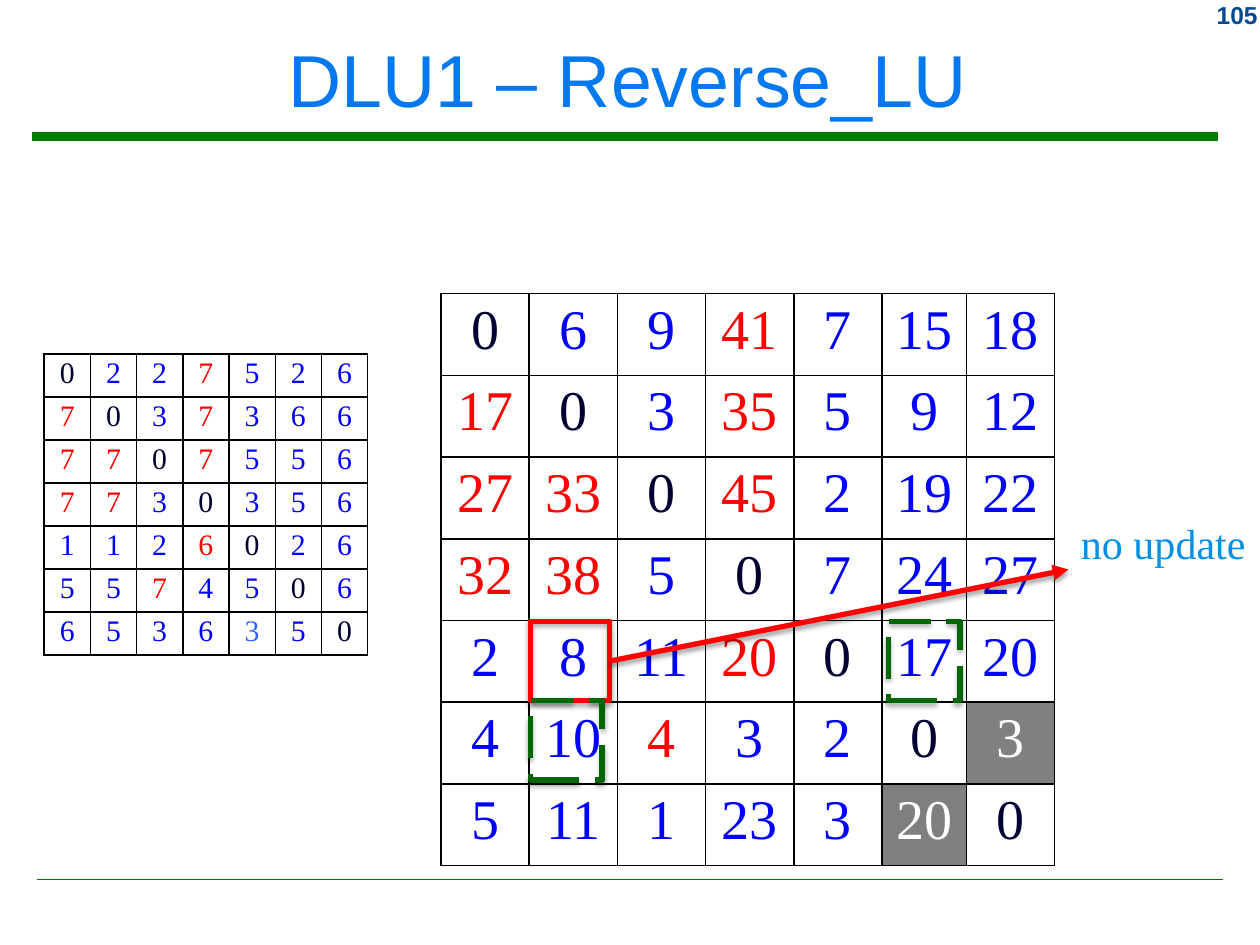
"""Build the DLU1 Reverse_LU slide with two number matrices and marked cells."""
from lxml import etree
from pptx import Presentation
from pptx.dml.color import RGBColor
from pptx.enum.dml import MSO_LINE
from pptx.enum.shapes import MSO_CONNECTOR, MSO_SHAPE
from pptx.enum.text import MSO_ANCHOR, PP_ALIGN
from pptx.oxml import parse_xml
from pptx.oxml.ns import nsdecls, qn
from pptx.util import Pt

LONG_DASH = MSO_LINE.LONG_DASH
STRAIGHT = MSO_CONNECTOR.STRAIGHT
RECT = MSO_SHAPE.RECTANGLE
TOP, MIDDLE = MSO_ANCHOR.TOP, MSO_ANCHOR.MIDDLE
LEFT, CENTER, RIGHT = PP_ALIGN.LEFT, PP_ALIGN.CENTER, PP_ALIGN.RIGHT

DISTANCES = [
    [0, 6, 9, 41, 7, 15, 18],
    [17, 0, 3, 35, 5, 9, 12],
    [27, 33, 0, 45, 2, 19, 22],
    [32, 38, 5, 0, 7, 24, 27],
    [2, 8, 11, 20, 0, 17, 20],
    [4, 10, 4, 3, 2, 0, 3],
    [5, 11, 1, 23, 3, 20, 0],
]
SUCCESSORS = [
    [0, 2, 2, 7, 5, 2, 6],
    [7, 0, 3, 7, 3, 6, 6],
    [7, 7, 0, 7, 5, 5, 6],
    [7, 7, 3, 0, 3, 5, 6],
    [1, 1, 2, 6, 0, 2, 6],
    [5, 5, 7, 4, 5, 0, 6],
    [6, 5, 3, 6, 3, 5, 0],
]
RED_CELLS = {(0, 3), (1, 0), (1, 3), (2, 0), (2, 1), (2, 3), (3, 0), (3, 1), (4, 3), (5, 2)}
TABLES = [
    (DISTANCES, 252, 167.8, [50.4] * 5 + [48.2, 50.4], 46.7, 32, (6.5, 3.2),
     {(5, 6): ("FFFFFF", "808080"), (6, 5): ("FFFFFF", "7F7F7F")}),
    (SUCCESSORS, 25.2, 202.2, [26.43] * 7, 24.6, 17, (3.6, 1.6),
     {(6, 4): ("3366FF", "FFFFFF")}),
]
BORDER = (
    '<a:{} %s w="12700"><a:solidFill><a:srgbClr val="000000"/></a:solidFill></a:{}>'
    % nsdecls("a")
)
SHADOW = (
    '<a:effectLst %s><a:outerShdw blurRad="39400" dist="{}" dir="5400000" rotWithShape="0">'
    '<a:srgbClr val="000000"><a:alpha val="{}"/></a:srgbClr></a:outerShdw></a:effectLst>'
    % nsdecls("a")
)


def rgb(value):
    return RGBColor.from_string(value)


def style_text(p, text, size, font, color, align):
    p.text = text
    p.alignment = align
    f = p.runs[0].font
    f.size = Pt(size)
    f.name = font
    f.color.rgb = rgb(color)
    return f


prs = Presentation()
prs.slide_width, prs.slide_height = Pt(720), Pt(540)
s = prs.slides.add_slide(prs.slide_layouts[6])

for x1, x2, y, width in [(18, 696.2, 77.8, 5.25), (20.9, 699.1, 502.6, 1)]:
    line = s.shapes.add_connector(STRAIGHT, Pt(x1), Pt(y), Pt(x2), Pt(y))
    line.line.color.rgb = rgb("008000")
    line.line.width = Pt(width)
    etree.SubElement(line._element.spPr, qn("a:effectLst"))

for values, left, top, widths, height, size, (inset_x, inset_y), special in TABLES:
    frame = s.shapes.add_table(
        7, 7, Pt(left), Pt(top), Pt(sum(widths)), Pt(7 * height))
    table = frame.table
    table.first_row = table.horz_banding = False
    for col, width in zip(table.columns, widths):
        col.width = Pt(width)
    for i, row in enumerate(values):
        table.rows[i].height = Pt(height)
        for j, value in enumerate(row):
            base = "000033" if i == j else "FF0000" if (i, j) in RED_CELLS else "0000FF"
            color, fill = special.get((i, j), (base, "FFFFFF"))
            cell = table.cell(i, j)
            cell.margin_left = cell.margin_right = Pt(inset_x)
            cell.margin_top = cell.margin_bottom = Pt(inset_y)
            tcPr = cell._tc.get_or_add_tcPr()
            for side in ("lnL", "lnR", "lnT", "lnB"):
                tcPr.append(parse_xml(BORDER.format(side, side)))
            cell.fill.solid()
            cell.fill.fore_color.rgb = rgb(fill)
            style_text(cell.text_frame.paragraphs[0], str(value), size,
                       "Times New Roman", color, CENTER)

update = s.shapes.add_group_shape()

for shapes, left, top, width, color, dash in [
    (update.shapes, 303.1, 355, 45.4, "FF0000", None),
    (s.shapes, 303.1, 400.3, 41, "006600", LONG_DASH),
    (s.shapes, 507.6, 355, 41, "006600", LONG_DASH),
]:
    sp = shapes.add_shape(RECT, Pt(left), Pt(top), Pt(width), Pt(45.4))
    sp.fill.background()
    sp.line.color.rgb = rgb(color)
    sp.line.width = Pt(3)
    if dash:
        sp.line.dash_style = dash
    sp._element.spPr.append(parse_xml(SHADOW.format(22900, 35000)))

arrow = update.shapes.add_connector(STRAIGHT, Pt(348.5), Pt(377.8), Pt(610.6), Pt(325.4))
arrow.line.color.rgb = rgb("FF0000")
arrow.line.width = Pt(3)
etree.SubElement(arrow.line._get_or_add_ln(), qn("a:tailEnd"), type="triangle")
arrow._element.spPr.append(parse_xml(SHADOW.format(20300, 38000)))

for shapes, box, text, size, font, color, align, anchor, wrap, bold in [
    (s.shapes, (660.2, -3.6, 65.5, 23.8), "105", 14, "Arial", "004992", RIGHT, TOP, True, True),
    (s.shapes, (5.8, 6.5, 705.6, 76.3), "DLU1 – Reverse_LU", 42, "Arial", "0078F0",
     CENTER, MIDDLE, True, False),
    (update.shapes, (610.6, 292.3, 109.4, 65.5), "no update", 24, "Times New Roman", "0090E5",
     LEFT, TOP, False, False),
]:
    tb = shapes.add_textbox(*[Pt(v) for v in box])
    tf = tb.text_frame
    tf.word_wrap = wrap
    tf.vertical_anchor = anchor
    style_text(tf.paragraphs[0], text, size, font, color, align).bold = bold

prs.save("out.pptx")
